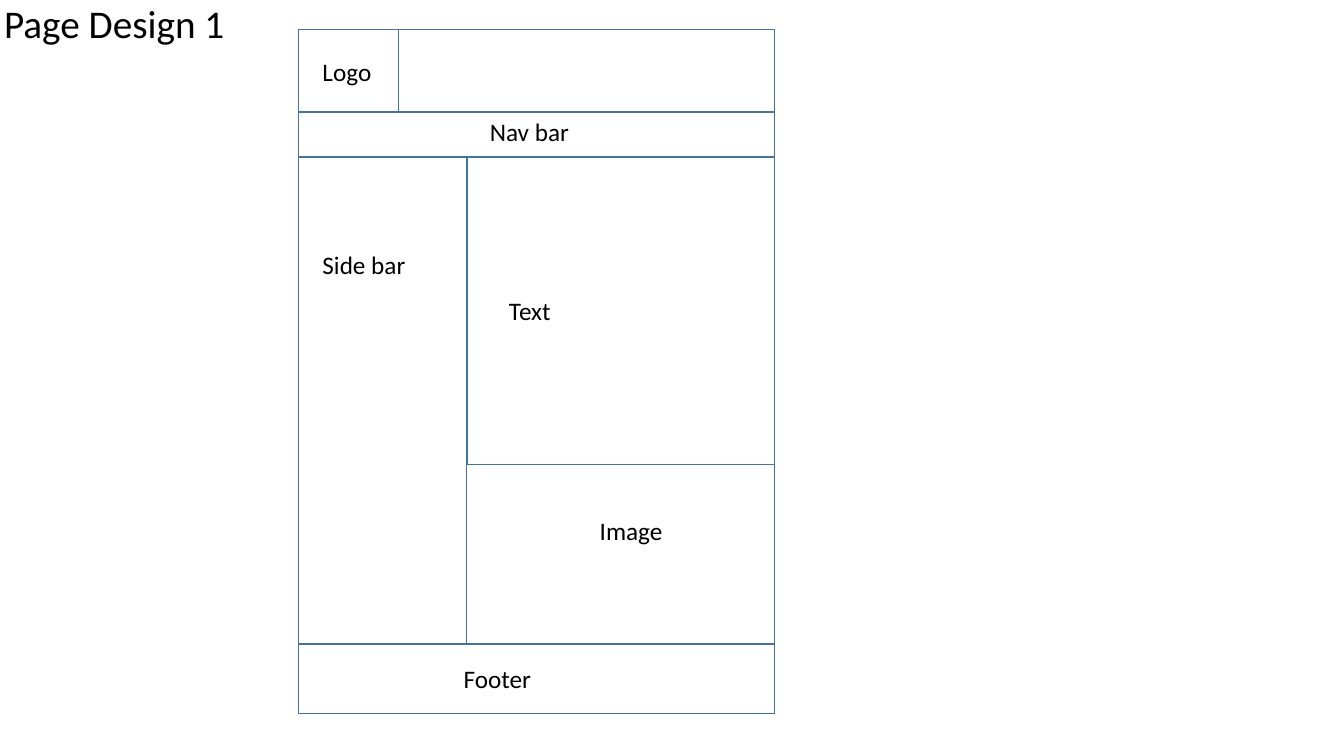
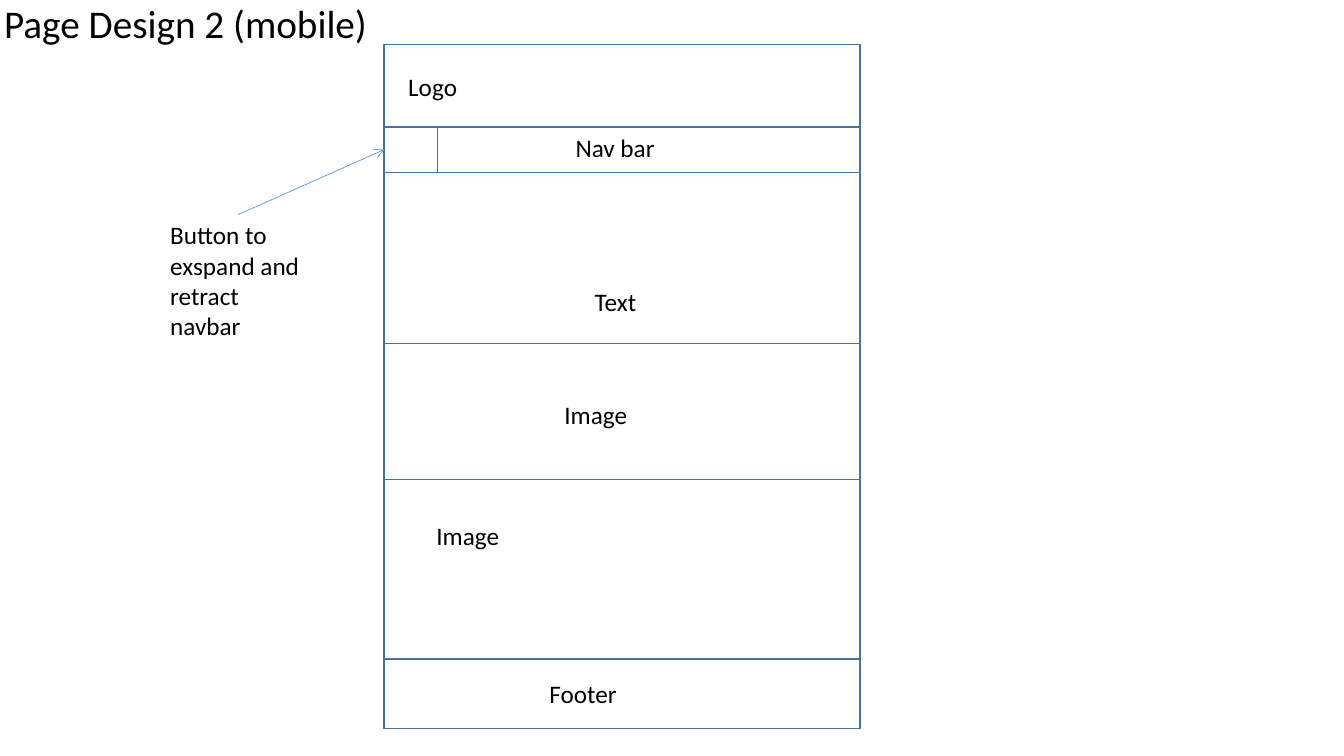
from pptx import Presentation, util as u
from pptx.dml.color import RGBColor
from pptx.enum import shapes, text
from pptx.oxml.ns import qn
from lxml import etree

FONT, INK, EDGE, ARROW = "Calibri", "000000", "43739E", "5B9BD5"
WIDE = 4.72  # width of every page frame

# Places are relative to the top left corner of the page frame.
# Boxes: left, top, width, height. Labels: words, left, top, width.
FRAME = [(0, 0, WIDE, 6.79), (0, 0.82, WIDE, 0.45), (0, 6.1, WIDE, 0.69)]
NAMES = [("Logo", 0.14, 0.22, 0.71), ("Nav bar", 1.8, 0.82, 0.99),
         ("Footer", 1.54, 6.24, 1.5)]
PAGES = [
    {"title": "Page Design 1", "at": (2.96, 0.29),
     "boxes": [(0, 0, 0.99, 0.82), (1.67, 1.27, 3.05, 3.05),
               (0, 1.27, 1.67, 4.83)],
     "labels": [("Text", 1.99, 2.59, 0.73), ("Side bar", 0.14, 2.13, 1.34),
                ("Image", 2.89, 4.77, 1.34)]},
    {"title": "Page Design 2 (mobile)", "at": (3.81, 0.44),
     "boxes": [(0, 1.27, WIDE, 1.7), (0, 4.32, WIDE, 1.78)],
     "labels": [("Text", 1.99, 2.35, 0.73), ("Image", 0.42, 4.67, 1.34),
                ("Image", 1.69, 3.47, 1.34)],
     "button": (0, 0.82, 0.53, 0.45),
     "note": ("Button to exspand and retract navbar", -2.22, 1.69, 1.54, 1.31)},
]


def color(code):
    return RGBColor.from_string(code)


def write(frame, words, size):
    run = frame.paragraphs[0].add_run()
    run.text = words
    run.font.name = FONT
    run.font.size = u.Pt(size)
    run.font.color.rgb = color(INK)


def head(slide, words):
    title = slide.shapes.title
    title.left, title.top = u.Inches(-0.06), u.Inches(-0.47)
    title.width, title.height = u.Inches(11.5), u.Inches(1.45)
    frame = title.text_frame
    frame.vertical_anchor = text.MSO_ANCHOR.MIDDLE
    frame.paragraphs[0].alignment = text.PP_ALIGN.LEFT
    frame.paragraphs[0].line_spacing = 0.9
    write(frame, words, 28)


def place(at, left, top, width, height):
    """Turn a place inside the page frame into slide lengths."""
    spot = (at[0] + left, at[1] + top, width, height)
    return [u.Inches(n) for n in spot]


def box(slide, at, spot):
    rect = slide.shapes.add_shape(shapes.MSO_SHAPE.RECTANGLE, *place(at, *spot))
    rect.shadow.inherit = False
    rect.fill.background()
    rect.line.color.rgb = color(EDGE)
    rect.line.width = u.Pt(1)
    return rect


def label(slide, at, words, left, top, width, height=0.4):
    area = slide.shapes.add_textbox(*place(at, left, top, width, height))
    area.text_frame.word_wrap = True
    area.text_frame.auto_size = text.MSO_AUTO_SIZE.SHAPE_TO_FIT_TEXT
    write(area.text_frame, words, 18)
    return area


def point(slide, note, button):
    """Draw an arrow from the top of the note to the left of the button."""
    line = slide.shapes.add_connector(shapes.MSO_CONNECTOR.STRAIGHT, 0, 0, 0, 0)
    line.begin_connect(note, 0)
    line.end_connect(button, 1)
    line.line.color.rgb = color(ARROW)
    line.line.width = u.Pt(0.5)
    etree.SubElement(line.line._get_or_add_ln(), qn("a:tailEnd"), type="arrow")
    etree.SubElement(line._element.spPr, qn("a:effectLst"))


def main():
    deck = Presentation()
    deck.slide_width, deck.slide_height = u.Inches(13.33), u.Inches(7.5)
    for page in PAGES:
        slide = deck.slides.add_slide(deck.slide_layouts[5])
        at = page["at"]
        head(slide, page["title"])
        for spot in FRAME + page["boxes"]:
            box(slide, at, spot)
        for name in NAMES + page["labels"]:
            label(slide, at, *name)
        if "button" in page:
            button = box(slide, at, page["button"])
            point(slide, label(slide, at, *page["note"]), button)
    deck.save("out.pptx")


if __name__ == "__main__":
    main()
